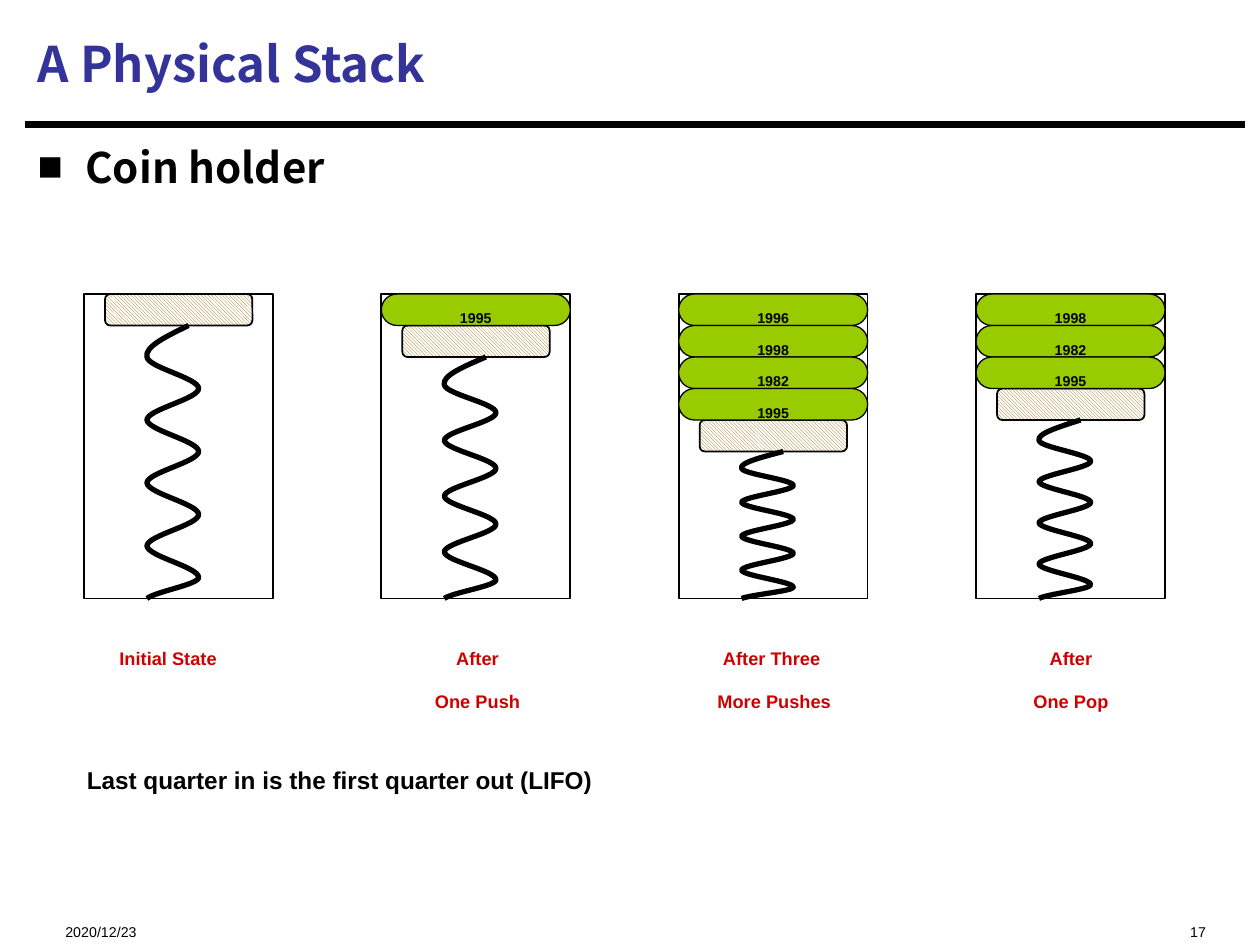
from lxml import etree
from pptx import Presentation
from pptx.dml.color import RGBColor
from pptx.enum import dml, shapes, text
from pptx.oxml import ns
from pptx.util import Inches, Pt

LEFT, CENTER, RIGHT = text.PP_ALIGN.LEFT, text.PP_ALIGN.CENTER, text.PP_ALIGN.RIGHT
MIDDLE, TOP = text.MSO_ANCHOR.MIDDLE, text.MSO_ANCHOR.TOP
RECT, ROUND = shapes.MSO_SHAPE.RECTANGLE, shapes.MSO_SHAPE.ROUNDED_RECTANGLE
hue = RGBColor.from_string


def write(shape, words, size, color="000000", font="Arial", bold=True,
          align=LEFT, anchor=TOP, wrap=False, low=True):
    """Fill a shape with text; low sets it as subscript."""
    frame = shape.text_frame
    frame.text = words
    frame.word_wrap = wrap
    frame.vertical_anchor = anchor
    for para in frame.paragraphs:
        para.alignment = align
        for run in para.runs:
            run.font.size = Pt(size)
            run.font.name = font
            run.font.bold = bold
            run.font.color.rgb = hue(color)
            props = run.font._element
            etree.SubElement(props, ns.qn("a:ea")).set("typeface", font)
            if low:
                props.set("baseline", "-25000")


def draw(kind, left, top, width, height, fill="FFFFFF", line=1, round=None):
    """Add a preset shape with a black outline."""
    shape = slide.shapes.add_shape(
        kind, Inches(left), Inches(top), Inches(width), Inches(height))
    shape.shadow.inherit = False
    shape.fill.solid()
    shape.fill.fore_color.rgb = hue(fill)
    shape.line.color.rgb = hue("000000")
    shape.line.width = Pt(line)
    if round is not None:
        shape.adjustments[0] = round
    return shape


deck = Presentation()
deck.slide_width, deck.slide_height = Inches(10), Inches(7.5)
slide = deck.slides.add_slide(deck.slide_layouts[5])

# Heading
title = slide.shapes.title
title.left, title.top = Inches(0.2), Inches(0.08)
title.width, title.height = Inches(9.67), Inches(0.84)
write(title, "A Physical Stack", 28, color="333399", font="Noto Sans CJK SC",
      anchor=MIDDLE, wrap=True, low=False)

rule = slide.shapes.add_connector(
    shapes.MSO_CONNECTOR.STRAIGHT,
    Inches(0.2), Inches(0.99), Inches(9.88), Inches(0.99))
rule.line.color.rgb = hue("000000")
rule.line.width = Pt(3.75)
etree.SubElement(rule._element.spPr, ns.qn("a:effectLst"))

# Bullet
body = slide.shapes.add_textbox(Inches(0.2), Inches(1.07), Inches(9.67), Inches(0.71))
write(body, "Coin holder", 24, font="Noto Sans CJK SC", wrap=True, low=False)
props = body.text_frame.paragraphs[0]._p.get_or_add_pPr()
props.set("marL", str(Inches(0.38)))
props.set("indent", str(Inches(-0.38)))
etree.SubElement(props, ns.qn("a:buFont")).set("typeface", "Arial")
etree.SubElement(props, ns.qn("a:buChar")).set("char", "■")

# Coin holders: coins from top to bottom, label, label left and width
holders = [
    ([], "Initial State", 0.56, 1.55),
    (["1995"], "After\nOne Push", 3.1, 1.38),
    (["1996", "1998", "1982", "1995"], "After Three \nMore Pushes", 5.26, 1.77),
    (["1998", "1982", "1995"], "After\nOne Pop", 7.88, 1.24),
]
TOP_Y, BASE_Y, COIN = 28 / 12, 57 / 12, 0.25
# Curve points of each half turn, measured from the holder's left side
START_X = 0.83
out, back = (0.51, 0.91, 0.91), (0.91, 0.5, 0.5)
turns = [(0.66, 0.48, 0.5)] + [out, back] * 3 + [out, (0.91, 0.57, 0.5)]
# The last half turn is shorter than the others
parts = [3 / 26] * 8 + [2 / 26]

for col, (coins, label, label_x, label_w) in enumerate(holders):
    left = 2 / 3 + 2.36 * col
    plate_y = TOP_Y + COIN * len(coins)
    draw(RECT, left, TOP_Y, 1.5, BASE_Y - TOP_Y)
    plate = draw(ROUND, left + 1 / 6, plate_y, 1.17, COIN, round=0.167)
    plate.fill.patterned()
    plate.fill.pattern = dml.MSO_PATTERN.DARK_DOWNWARD_DIAGONAL
    plate.fill.fore_color.rgb = hue("996600")
    plate.fill.back_color.rgb = hue("FFFFFF")

    y = plate_y + COIN
    length = BASE_Y - y
    path = slide.shapes.build_freeform(Inches(left + START_X), Inches(y))
    points = []
    for turn, part in zip(turns, parts):
        for x in turn:
            y += part * length / 3
            points.append((Inches(left + x), Inches(y)))
    path.add_line_segments(points, close=False)
    spring = path.convert_to_shape()
    # Every three points make one curve
    lines = list(spring._element.iter(ns.qn("a:lnTo")))
    for first in range(0, len(lines), 3):
        curve = etree.Element(ns.qn("a:cubicBezTo"))
        lines[first].addprevious(curve)
        for line in lines[first:first + 3]:
            curve.append(line[0])
            line.getparent().remove(line)
    spring.shadow.inherit = False
    spring.fill.background()
    spring.line.color.rgb = hue("000000")
    spring.line.width = Pt(3)

    for row, year in enumerate(coins):
        coin = draw(ROUND, left, TOP_Y + COIN * row, 1.5, COIN,
                    fill="99CC00", line=0.75, round=0.5)
        write(coin, year, 14, align=CENTER, anchor=MIDDLE)

    box = slide.shapes.add_textbox(
        Inches(label_x), Inches(4.92), Inches(label_w),
        Inches(0.71 if "\n" in label else 0.4))
    write(box, label, 18, color="CE0000", align=CENTER)

# Summary and footer
note = slide.shapes.add_textbox(Inches(0.59), Inches(5.8), Inches(7.12), Inches(0.5))
write(note, "Last quarter in is the first quarter out (LIFO)", 24)
for words, x, width, align in [("2020/12/23", 0.42, 2.5, LEFT), ("17", 6.67, 3, RIGHT)]:
    foot = slide.shapes.add_textbox(Inches(x), Inches(7.15), Inches(width), Inches(0.27))
    write(foot, words, 14, bold=False, align=align, wrap=True)

deck.save("out.pptx")
